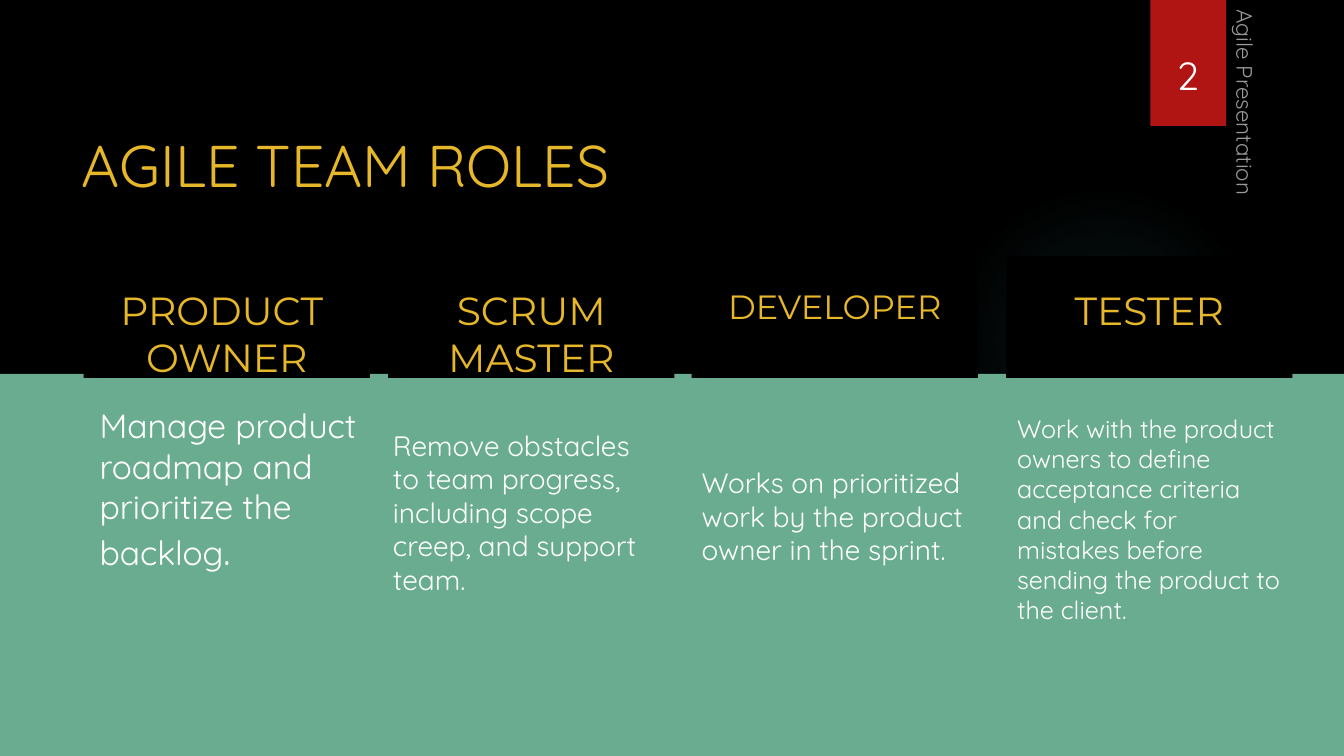
import dataclasses

import lxml.etree
import pptx
import pptx.dml.color
import pptx.enum.shapes
import pptx.enum.text
import pptx.oxml
import pptx.oxml.ns
import pptx.util

ALIGN = pptx.enum.text.PP_ALIGN
ANCHOR = pptx.enum.text.MSO_ANCHOR
KIND = pptx.enum.shapes.MSO_SHAPE
WIDE, HIGH = pptx.util.Inches(13.33), pptx.util.Inches(7.5)


@dataclasses.dataclass(frozen=True)
class Theme:
    back: str = "000000"
    band: str = "6AAC90"
    badge: str = "B01513"
    gold: str = "E6B729"
    white: str = "FFFFFF"
    glow: str = "50B9C1"
    sans: str = "Quicksand"
    head: str = "Montserrat"
    title: int = 42
    large: int = 28
    big: int = 24
    mid: int = 20
    small: int = 18
    side: int = 16


THEME = Theme()

# Each role: heading lines, heading size, heading left, text, text size, text area
ROLES = [
    (["PRODUCT\u00a0", "OWNER"], THEME.large, 6.23, None, None, None),
    (["SCRUM MASTER"], THEME.large, 28.88,
     "Remove obstacles to team progress, including scope creep, and support team.",
     THEME.mid, (28.5, 53.07, 21.53, 29.33)),
    (["DEVELOPER"], THEME.big, 51.46,
     "Works on prioritized work by the product owner in the sprint.",
     THEME.mid, (51.46, 54.27, 21.45, 28)),
    (["TESTER"], THEME.large, 74.87,
     "Work with the product owners to define acceptance criteria and check for "
     "mistakes before sending the product to the client.",
     THEME.small, (74.94, 55.07, 21.45, 27.2)),
]


def rgb(code):
    return pptx.dml.color.RGBColor.from_string(code)


def area(left, top, width, height):
    """Turn percentages of the slide into lengths."""
    return (int(WIDE * left / 100), int(HIGH * top / 100),
            int(WIDE * width / 100), int(HIGH * height / 100))


def block(slide, kind, place, color):
    shape = slide.shapes.add_shape(kind, *area(*place))
    shape.shadow.inherit = False
    shape.fill.solid()
    shape.fill.fore_color.rgb = rgb(color)
    shape.line.fill.background()
    return shape


def write(shape, lines, size, color, font=THEME.sans,
          align=ALIGN.LEFT, anchor=ANCHOR.MIDDLE):
    frame = shape.text_frame
    frame.word_wrap = True
    frame.auto_size = pptx.enum.text.MSO_AUTO_SIZE.NONE
    frame.vertical_anchor = anchor
    frame.text = "\n".join(lines)
    for para in frame.paragraphs:
        para.alignment = align
        para.font.name = font
        para.font.size = pptx.util.Pt(size)
        para.font.color.rgb = rgb(color)
    return frame


def label(slide, place, text, size, **style):
    box = slide.shapes.add_textbox(*area(*place))
    write(box, [text], size, THEME.white, **style)
    return box


def glow(slide):
    """Add a faint round light that fades to nothing."""
    shape = block(slide, KIND.OVAL, (70.59, 24.4, 23.11, 41.07), THEME.glow)
    stops = "".join(
        f'<a:gs pos="{pos}000"><a:srgbClr val="{THEME.glow}">'
        f'<a:alpha val="{alpha}000"/></a:srgbClr></a:gs>'
        for pos, alpha in [(0, 7), (36, 6), (69, 0), (100, 0)])
    grad = pptx.oxml.parse_xml(
        f'<a:gradFill {pptx.oxml.ns.nsdecls("a")}><a:gsLst>{stops}</a:gsLst>'
        '<a:path path="circle"><a:fillToRect l="50000" t="50000" r="50000" '
        'b="50000"/></a:path></a:gradFill>')
    props = shape.fill._xPr
    props.replace(props.find(pptx.oxml.ns.qn("a:solidFill")), grad)


def heading(slide, lines, size, left):
    shape = block(slide, KIND.RECTANGLE, (left, 33.87, 21.3, 16.13), THEME.back)
    frame = write(shape, lines, size, THEME.gold, THEME.head,
                  ALIGN.CENTER, ANCHOR.TOP)
    frame.margin_left = frame.margin_right = 0
    frame.margin_top = pptx.util.Inches(0.3)


def side(slide):
    box = label(slide, (76.82, 25.87, 31.66, 4.4), "Agile Presentation", THEME.side)
    box.rotation = 90
    color = next(box._element.iter(pptx.oxml.ns.qn("a:srgbClr")))
    lxml.etree.SubElement(color, pptx.oxml.ns.qn("a:alpha"), val="60000")


def backlog(slide):
    box = label(slide, (6.68, 52.93, 21.3, 29.2),
                "Manage product roadmap and prioritize the backlog",
                THEME.big, anchor=ANCHOR.TOP)
    stop = box.text_frame.paragraphs[0].add_run()
    stop.text = "."
    stop.font.size = pptx.util.Pt(THEME.large)


def main():
    deck = pptx.Presentation()
    deck.slide_width, deck.slide_height = WIDE, HIGH
    slide = deck.slides.add_slide(deck.slide_layouts.get_by_name("Title Only"))
    slide.background.fill.solid()
    slide.background.fill.fore_color.rgb = rgb(THEME.back)

    title = slide.shapes.title
    title.left, title.top, title.width, title.height = area(5.33, 6.67, 77.19, 20.4)
    write(title, ["AGILE TEAM ROLES"], THEME.title, THEME.gold, anchor=ANCHOR.BOTTOM)

    glow(slide)
    block(slide, KIND.RECTANGLE, (85.6, 0, 5.63, 16.67), THEME.badge)
    block(slide, KIND.RECTANGLE, (0, 49.47, 100, 50.53), THEME.band)
    side(slide)
    label(slide, (84.92, 4.27, 6.9, 11.2), "2", THEME.large, align=ALIGN.CENTER)

    backlog(slide)
    for lines, size, left, text, point, place in ROLES:
        heading(slide, lines, size, left)
        if text:
            label(slide, place, text, point)
    deck.save("out.pptx")


if __name__ == "__main__":
    main()
